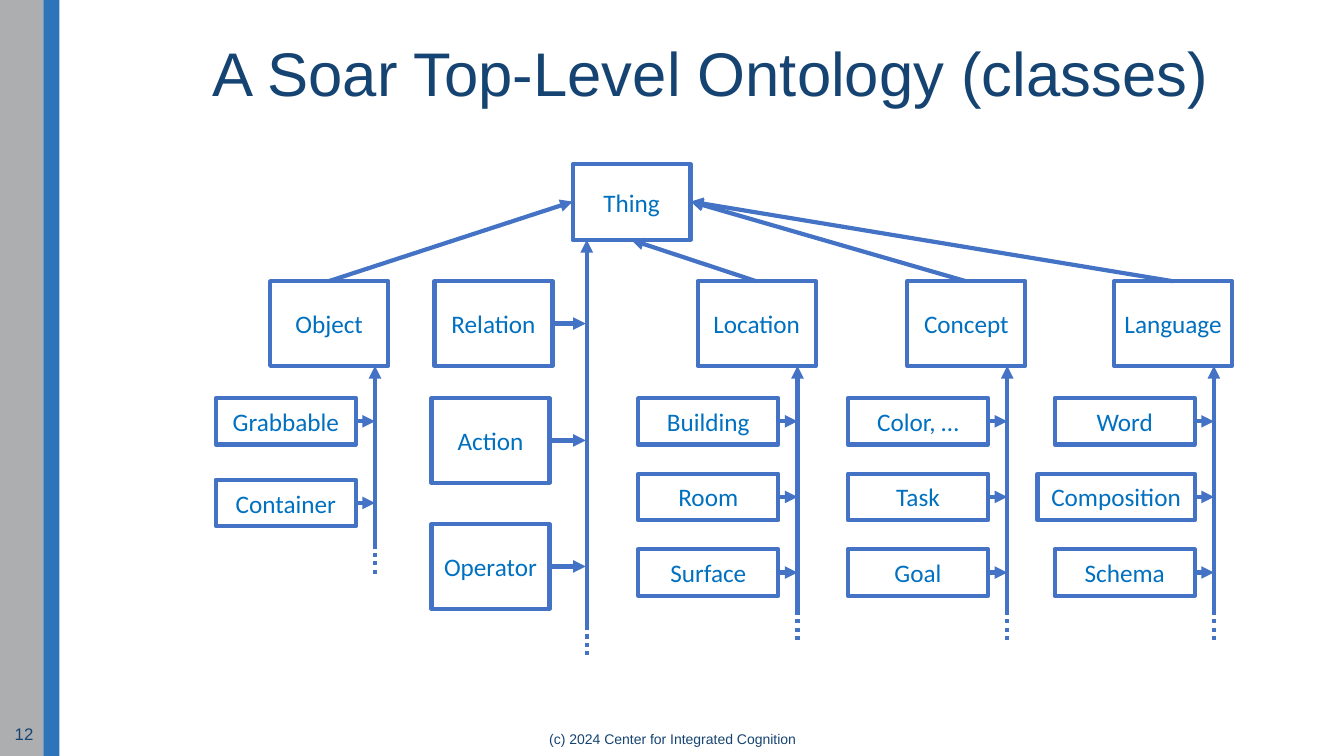
from dataclasses import dataclass

from lxml import etree
from pptx import Presentation
from pptx import util as u
from pptx.dml.color import RGBColor
from pptx.enum import dml, shapes, text
from pptx.oxml.ns import qn

PX = 9144  # EMU per px, 100 px to the inch
BLUE, NAVY, INK, WHITE = "4472C4", "164472", "0070C0", "FFFFFF"
TOP, HIGH = 279, 84  # row of main classes
GAP = 19  # from a subclass to its trunk


@dataclass
class Box:
    name: str
    x: int
    y: int
    w: int = 117
    h: int = HIGH

    @property
    def right(self) -> int:
        return self.x + self.w

    @property
    def midx(self) -> int:
        return self.x + self.w // 2

    @property
    def midy(self) -> int:
        return self.y + self.h // 2


@dataclass
class Branch:
    """A main class, its trunk and the subclasses beside the trunk."""
    name: str
    x: int
    trunk: int
    end: int
    port: tuple[int, int]
    step: int
    kids: tuple[str, ...]


THING = Box("Thing", 568, 163, h=75)
LEFT = (THING.x, THING.midy)
BASE = (THING.midx, THING.y + THING.h)
RIGHT = (THING.right, THING.midy)

BRANCHES = [
    Branch("Object", 268, 372, 540, LEFT, 81, ("Grabbable", "Container")),
    Branch("Location", 692, 791, 606, BASE, 75, ("Building", "Room", "Surface")),
    Branch("Concept", 900, 999, 606, RIGHT, 75, ("Color, …", "Task", "Goal")),
    Branch("Language", 1105, 1204, 606, RIGHT, 75,
           ("Word", "Composition", "Schema")),
]
WIDE = {"Composition": 156}

SPINE = 582
LINKS = [Box("Relation", 431, TOP), Box("Action", 428, 395),
         Box("Operator", 428, 520)]

prs = Presentation()
prs.slide_width, prs.slide_height = 1333 * PX, 750 * PX
slide = prs.slides.add_slide(prs.slide_layouts[5])


def color(code: str) -> RGBColor:
    return RGBColor.from_string(code)


def style(frame, words: str, size: int, face: str, code: str, align) -> None:
    frame.text = words
    frame.word_wrap = True
    frame.auto_size = text.MSO_AUTO_SIZE.NONE
    frame.vertical_anchor = text.MSO_ANCHOR.MIDDLE
    para = frame.paragraphs[0]
    para.alignment = align
    para.font.size, para.font.name = u.Pt(size), face
    para.font.color.rgb = color(code)


def rect(x: int, y: int, w: int, h: int, fill: str):
    shape = slide.shapes.add_shape(shapes.MSO_SHAPE.RECTANGLE,
                                   x * PX, y * PX, w * PX, h * PX)
    shape.shadow.inherit = False
    shape.fill.solid()
    shape.fill.fore_color.rgb = color(fill)
    shape.line.fill.background()
    return shape


def draw(box: Box) -> None:
    shape = rect(box.x, box.y, box.w, box.h, WHITE)
    shape.line.color.rgb = color(BLUE)
    shape.line.width = u.Pt(3)
    frame = shape.text_frame
    frame.margin_left = frame.margin_right = 0
    style(frame, box.name, 18, "Calibri", INK, text.PP_ALIGN.CENTER)


def link(tip: tuple[int, int], tail: tuple[int, int], dots: bool = False) -> None:
    """Draw an arrow with its head at tip, or a dotted line with no head."""
    line = slide.shapes.add_connector(shapes.MSO_CONNECTOR.STRAIGHT,
                                      *(n * PX for n in tip + tail))
    line.line.color.rgb = color(BLUE)
    line.line.width = u.Pt(3)
    props = line._element.spPr
    if dots:
        line.line.dash_style = dml.MSO_LINE.ROUND_DOT
    else:
        etree.SubElement(props.find(qn("a:ln")), qn("a:headEnd"), type="triangle")
    etree.SubElement(props, qn("a:effectLst"))


def stem(x: int, top: int, end: int) -> None:
    link((x, top), (x, end))
    link((x, end), (x, end + 30), dots=True)


def grow(branch: Branch) -> None:
    head = Box(branch.name, branch.x, TOP)
    draw(head)
    link(branch.port, (head.midx, TOP))
    stem(branch.trunk, TOP + HIGH, branch.end)
    for i, name in enumerate(branch.kids):
        wide = WIDE.get(name, 139)
        kid = Box(name, branch.trunk - GAP - wide, 395 + i * branch.step, wide, 46)
        draw(kid)
        link((branch.trunk, kid.midy), (kid.right, kid.midy))


def label(x: int, y: int, w: int, h: int, words: str, size: int, align) -> None:
    box = slide.shapes.add_textbox(x * PX, y * PX, w * PX, h * PX)
    style(box.text_frame, words, size, "Arial", NAVY, align)


def main() -> None:
    rect(-2, -1, 45, 753, "ACAEAF")
    rect(43, -1, 16, 753, "2D74B9")

    title = slide.shapes.title
    title.left, title.top = 201 * PX, 22 * PX
    title.width, title.height = 1034 * PX, 107 * PX
    style(title.text_frame, "A Soar Top-Level Ontology (classes)", 44, "Arial",
          NAVY, text.PP_ALIGN.LEFT)
    title.text_frame.paragraphs[0].line_spacing = 0.9

    label(442, 721, 450, 25, "(c) 2024 Center for Integrated Cognition", 10,
          text.PP_ALIGN.CENTER)
    label(1, 708, 42, 40, "12", 12, text.PP_ALIGN.RIGHT)

    draw(THING)
    for branch in BRANCHES:
        grow(branch)
    stem(SPINE, THING.y + THING.h, 621)
    for box in LINKS:
        draw(box)
        link((SPINE - 1, box.midy), (box.right, box.midy))

    prs.save("out.pptx")


if __name__ == "__main__":
    main()
